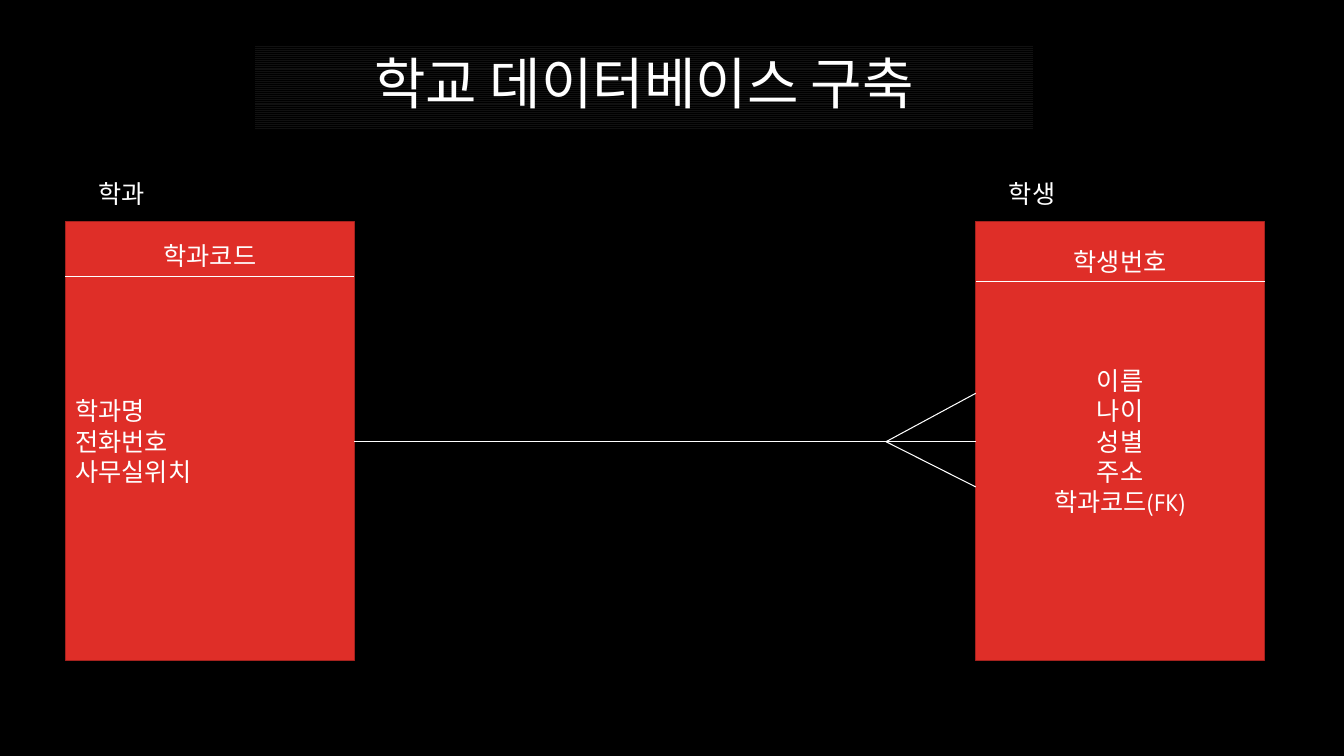
"""Build a slide with the entity diagram of a school database."""
from lxml import etree
from pptx import Presentation
from pptx.dml.color import RGBColor
from pptx.enum.dml import MSO_PATTERN
from pptx.enum.shapes import MSO_CONNECTOR, MSO_SHAPE
from pptx.enum.text import MSO_ANCHOR, PP_ALIGN
from pptx.oxml.ns import qn
from pptx.util import Cm, Pt

BLACK = RGBColor(0x00, 0x00, 0x00)
STRIPE = RGBColor(0x11, 0x11, 0x11)
WHITE = RGBColor(0xFF, 0xFF, 0xFF)
RED = RGBColor(0xDF, 0x2E, 0x28)
DARK_RED = RGBColor(0xA5, 0x22, 0x1E)
FONT = "League Spartan"
LEFT, CENTER = PP_ALIGN.LEFT, PP_ALIGN.CENTER
TOP, MIDDLE = MSO_ANCHOR.TOP, MSO_ANCHOR.MIDDLE
RECTANGLE, STRAIGHT = MSO_SHAPE.RECTANGLE, MSO_CONNECTOR.STRAIGHT
STRIPES = MSO_PATTERN.NARROW_HORIZONTAL

TITLE = "학교 데이터베이스 구축"
ENTITIES = [
    {"name": "학과", "key": "학과코드", "left": 1.65, "rule": 6.96, "align": LEFT,
     "fields": ["학과명", "전화번호", "사무실위치"]},
    {"name": "학생", "key": "학생번호", "left": 24.59, "rule": 7.09, "align": CENTER,
     "fields": ["이름", "나이", "성별", "주소", "학과코드(FK)"]},
]

TITLE_BOX = (6.43, 1.12, 19.61, 2.11)
ENTITY_TOP, ENTITY_WIDTH, ENTITY_HEIGHT = 5.59, 7.28, 11.05
NAME_TOP, NAME_WIDTH, LABEL_HEIGHT = 4.37, 2.84, 1.02
RELATION_Y, FORK_X = 11.13, 22.33
FORK_ENDS = (9.91, 12.27)

prs = Presentation()
prs.slide_width, prs.slide_height = Cm(33.87), Cm(19.05)
slide = prs.slides.add_slide(prs.slide_layouts[6])
slide.background.fill.solid()
slide.background.fill.fore_color.rgb = BLACK


def write(frame, text, size=18, align=CENTER, anchor=TOP, spacing=1.0):
    frame.word_wrap = True
    frame.vertical_anchor = anchor
    frame.text = text
    for paragraph in frame.paragraphs:
        paragraph.alignment = align
        paragraph.line_spacing = spacing
        font = paragraph.runs[0].font
        font.name, font.size = FONT, Pt(size)
        font.color.rgb = WHITE


def add_box(left, top, width, height):
    box = slide.shapes.add_shape(RECTANGLE, Cm(left), Cm(top), Cm(width), Cm(height))
    box.shadow.inherit = False
    return box


def add_label(text, left, top, width):
    label = slide.shapes.add_textbox(Cm(left), Cm(top), Cm(width), Cm(LABEL_HEIGHT))
    write(label.text_frame, text)


def add_line(x1, y1, x2, y2):
    line = slide.shapes.add_connector(STRAIGHT, Cm(x1), Cm(y1), Cm(x2), Cm(y2))
    line.line.color.rgb = WHITE
    line.line.width = Pt(0.75)
    etree.SubElement(line._element.spPr, qn("a:effectLst"))


banner = add_box(*TITLE_BOX)
banner.fill.patterned()
banner.fill.pattern = STRIPES
banner.fill.fore_color.rgb = STRIPE
banner.fill.back_color.rgb = BLACK
banner.line.fill.background()
write(banner.text_frame, TITLE, size=40, anchor=MIDDLE, spacing=0.9)

for entity in ENTITIES:
    left, rule = entity["left"], entity["rule"]
    body = add_box(left, ENTITY_TOP, ENTITY_WIDTH, ENTITY_HEIGHT)
    body.fill.solid()
    body.fill.fore_color.rgb = RED
    body.line.color.rgb = DARK_RED
    body.line.width = Pt(1)
    write(body.text_frame, "\n".join(entity["fields"]), align=entity["align"], anchor=MIDDLE)
    add_label(entity["name"], left, NAME_TOP, NAME_WIDTH)
    add_line(left, rule, left + ENTITY_WIDTH, rule)
    add_label(entity["key"], left, rule - LABEL_HEIGHT, ENTITY_WIDTH)

department, student = ENTITIES
add_line(department["left"] + ENTITY_WIDTH, RELATION_Y, student["left"], RELATION_Y)
for fork_y in FORK_ENDS:
    add_line(FORK_X, RELATION_Y, student["left"], fork_y)

prs.save("out.pptx")
